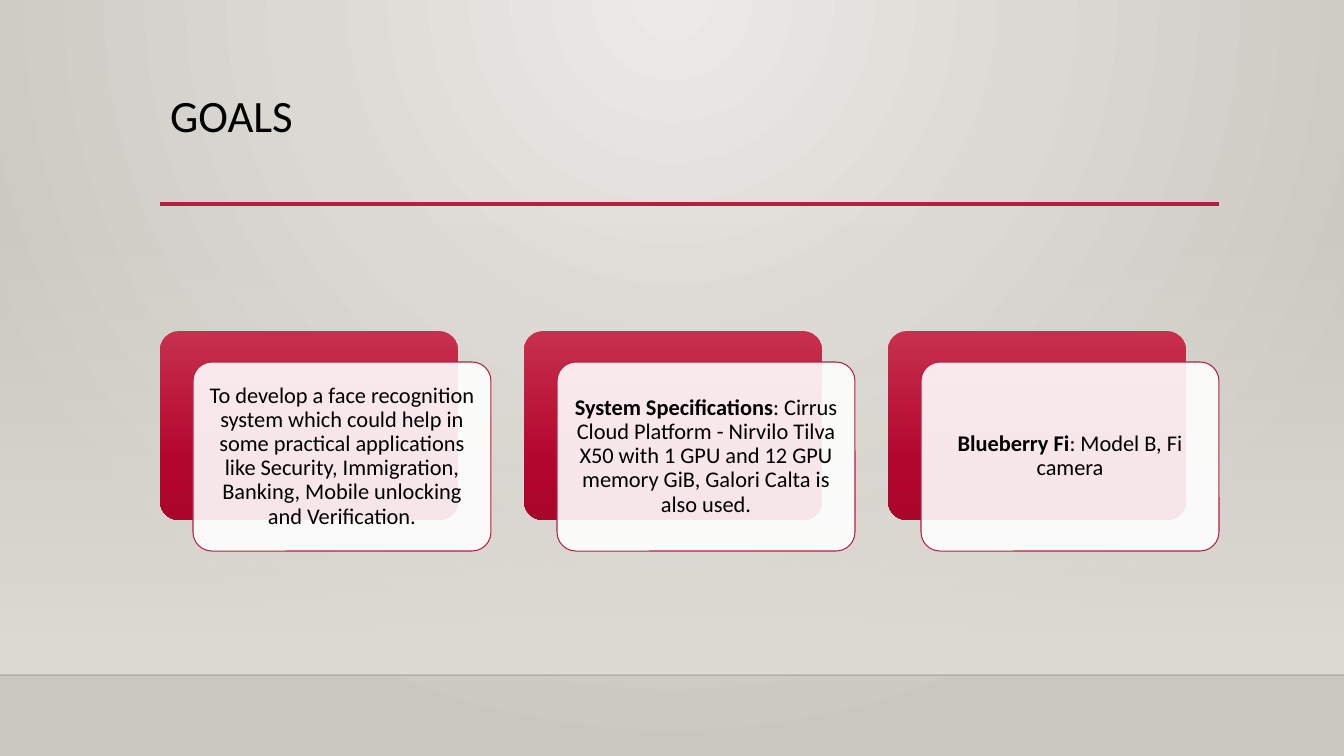
import dataclasses
import typing

import pptx
import pptx.dml.color
import pptx.dml.fill
import pptx.enum.shapes
import pptx.enum.text
import pptx.oxml
import pptx.oxml.ns
import pptx.shapes.autoshape
import pptx.slide
import pptx.util

WIDTH, HEIGHT = 1344, 756
EMU_PER_PX = 12192000 / WIDTH
FONT = "Calibri"
COLORS = {
    "text": "000000",
    "accent": "B71E42",
    "card": "FFFFFF",
    "floor": "DFDBD5",
    "floor_edge": "000001",
}
BACKDROP_STOPS = [(0, "ECEAE7", 100), (100, "CAC7C1", 100)]
FLOOR_STOPS = [(0, COLORS["floor"], 0), (100, COLORS["floor"], 100)]
PANEL_STOPS = [(0, "C7304C", 100), (69, "B3062F", 100), (100, "AA062C", 100)]
DOWNWARD = '<a:lin ang="5400000" scaled="0"/>'
FROM_TOP_CENTER = (
    '<a:path path="circle">'
    '<a:fillToRect l="43000" t="0" r="43000" b="100000"/></a:path>'
)

CARD_LEFT, CARD_TOP = 160, 331
CARD_WIDTH, CARD_HEIGHT = 298, 189
CARD_PITCH = 364
CARD_SHIFT_X, CARD_SHIFT_Y = 33, 31
CARD_MARGIN = 7

Stops = list[tuple[int, str, int]]


@dataclasses.dataclass(frozen=True)
class Goal:
    heading: str
    detail: str


@dataclasses.dataclass(frozen=True)
class Rule:
    left: int
    right: int
    y: int
    color: str
    points: float
    opacity: int = 100


GOALS = [
    Goal("", "To develop a face recognition system which could help in some "
             "practical applications like Security, Immigration, Banking, "
             "Mobile unlocking and Verification."),
    Goal("System Specifications", ": Cirrus Cloud Platform - Nirvilo Tilva "
                                  "X50 with 1 GPU and 12 GPU memory GiB, "
                                  "Galori Calta is also used."),
    Goal("Blueberry Fi", ": Model B, Fi camera"),
]
RULES = [
    Rule(0, WIDTH, 675, COLORS["floor_edge"], 1, 20),
    Rule(160, 1219, 204, COLORS["accent"], 2.5),
]


def px(length: int) -> pptx.util.Emu:
    return pptx.util.Emu(round(length * EMU_PER_PX))


def rgb(color: str) -> pptx.dml.color.RGBColor:
    return pptx.dml.color.RGBColor.from_string(color)


def set_gradient(fill: pptx.dml.fill.FillFormat, owner: typing.Any,
                 stops: Stops, direction: str) -> None:
    """Give the fill, which lies inside the owner element, these stops."""
    fill.gradient()
    gradient = owner.find(".//" + pptx.oxml.ns.qn("a:gradFill"))
    stop_xml = "".join(
        f'<a:gs pos="{position * 1000}"><a:srgbClr val="{color}">'
        f'<a:alpha val="{opacity * 1000}"/></a:srgbClr></a:gs>'
        for position, color, opacity in stops
    )
    gradient.getparent().replace(gradient, pptx.oxml.parse_xml(
        f'<a:gradFill {pptx.oxml.ns.nsdecls("a")} rotWithShape="1">'
        f"<a:gsLst>{stop_xml}</a:gsLst>{direction}</a:gradFill>"
    ))


def set_opacity(owner: typing.Any, percent: int) -> None:
    """Make the first plain colour inside the element translucent."""
    color = owner.find(".//" + pptx.oxml.ns.qn("a:srgbClr"))
    color.append(pptx.oxml.parse_xml(
        f'<a:alpha {pptx.oxml.ns.nsdecls("a")} val="{percent * 1000}"/>'
    ))


def add_box(page: pptx.slide.Slide, left: int, top: int, width: int,
            height: int, rounded: bool) -> pptx.shapes.autoshape.Shape:
    kinds = pptx.enum.shapes.MSO_SHAPE
    box = page.shapes.add_shape(
        kinds.ROUNDED_RECTANGLE if rounded else kinds.RECTANGLE,
        px(left), px(top), px(width), px(height),
    )
    box.shadow.inherit = False
    box.line.fill.background()
    if rounded:
        box.adjustments[0] = 0.1
    return box


def add_rule(page: pptx.slide.Slide, rule: Rule) -> None:
    line = page.shapes.add_connector(
        pptx.enum.shapes.MSO_CONNECTOR.STRAIGHT,
        px(rule.left), px(rule.y), px(rule.right), px(rule.y),
    )
    line.line.color.rgb = rgb(rule.color)
    line.line.width = pptx.util.Pt(rule.points)
    properties = line._element.spPr
    if rule.opacity < 100:
        set_opacity(properties, rule.opacity)
    properties.append(pptx.oxml.parse_xml(
        f'<a:effectLst {pptx.oxml.ns.nsdecls("a")}/>'
    ))


def format_paragraph(para: typing.Any, size: int, alignment: typing.Any) -> None:
    para.alignment = alignment
    para.line_spacing = 0.9
    para.font.name = FONT
    para.font.size = pptx.util.Pt(size)
    para.font.color.rgb = rgb(COLORS["text"])


def add_title(page: pptx.slide.Slide, text: str) -> None:
    title = page.shapes.title
    title.left, title.top = px(160), px(89)
    title.width, title.height = px(1058), px(116)
    title.text_frame.text = text
    title.text_frame.vertical_anchor = pptx.enum.text.MSO_ANCHOR.TOP
    format_paragraph(title.text_frame.paragraphs[0], 32,
                     pptx.enum.text.PP_ALIGN.LEFT)


def add_goal(page: pptx.slide.Slide, left: int, goal: Goal) -> None:
    panel = add_box(page, left, CARD_TOP, CARD_WIDTH, CARD_HEIGHT, True)
    set_gradient(panel.fill, panel._element.spPr, PANEL_STOPS, DOWNWARD)

    card = add_box(page, left + CARD_SHIFT_X, CARD_TOP + CARD_SHIFT_Y,
                   CARD_WIDTH, CARD_HEIGHT, True)
    card.fill.solid()
    card.fill.fore_color.rgb = rgb(COLORS["card"])
    set_opacity(card._element.spPr, 90)
    card.line.color.rgb = rgb(COLORS["accent"])
    card.line.width = pptx.util.Pt(0.75)

    frame = card.text_frame
    frame.word_wrap = True
    frame.vertical_anchor = pptx.enum.text.MSO_ANCHOR.MIDDLE
    frame.margin_left = frame.margin_right = px(CARD_MARGIN)
    frame.margin_top = frame.margin_bottom = px(CARD_MARGIN)
    para = frame.paragraphs[0]
    format_paragraph(para, 16, pptx.enum.text.PP_ALIGN.CENTER)
    if goal.heading:
        span = para.add_run()
        span.text = goal.heading
        span.font.bold = True
    para.add_run().text = goal.detail


def main() -> None:
    deck = pptx.Presentation()
    deck.slide_width, deck.slide_height = px(WIDTH), px(HEIGHT)
    page = deck.slides.add_slide(deck.slide_layouts.get_by_name("Title Only"))
    set_gradient(page.background.fill, page._element, BACKDROP_STOPS,
                 FROM_TOP_CENTER)
    floor = add_box(page, 0, 223, WIDTH, 452, False)
    set_gradient(floor.fill, floor._element.spPr, FLOOR_STOPS, DOWNWARD)
    for rule in RULES:
        add_rule(page, rule)
    add_title(page, "GOALS")
    for index, goal in enumerate(GOALS):
        add_goal(page, CARD_LEFT + index * CARD_PITCH, goal)
    deck.save("out.pptx")


if __name__ == "__main__":
    main()
